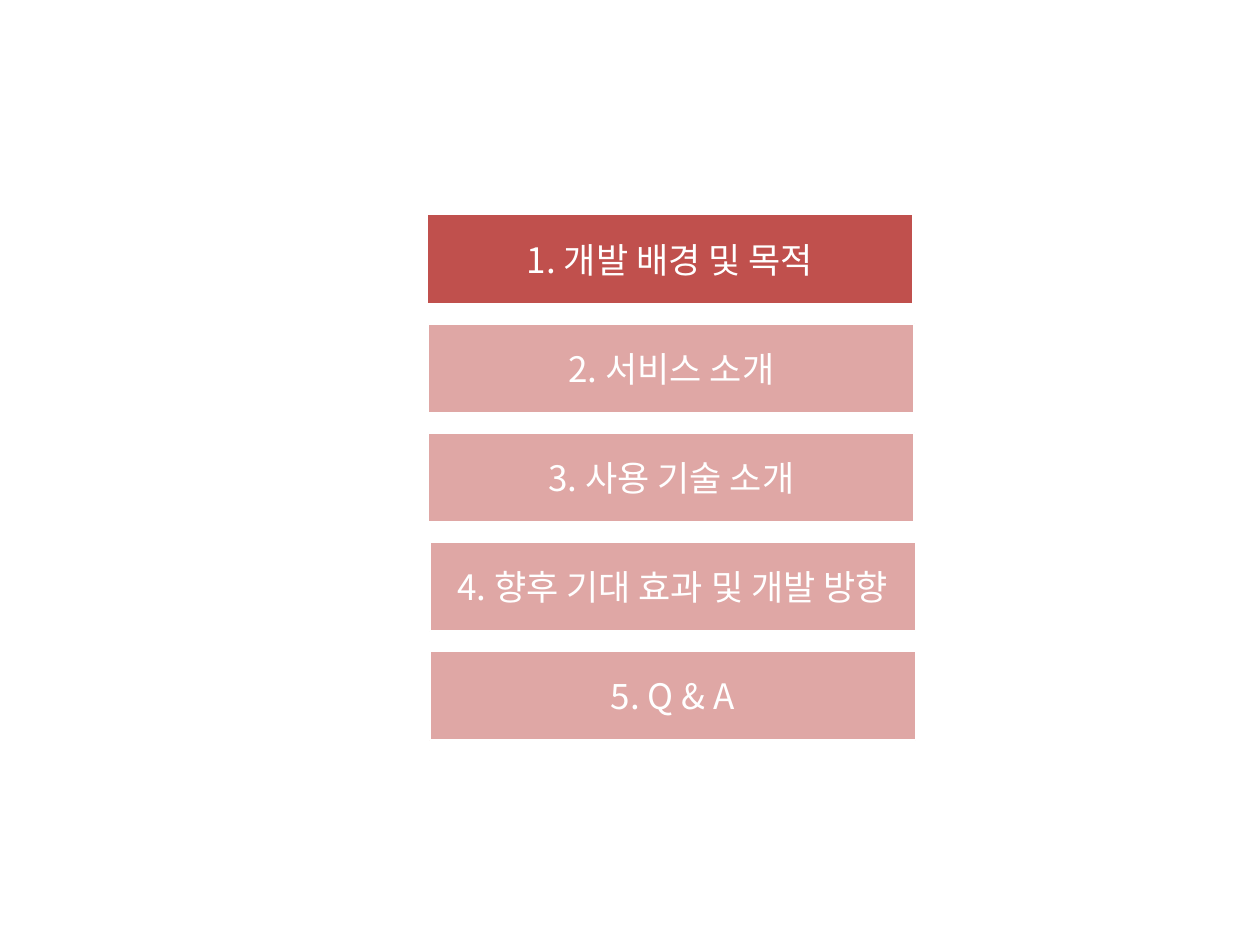
from dataclasses import dataclass

from lxml.etree import SubElement
from pptx import Presentation
from pptx.dml.color import RGBColor
from pptx.enum.shapes import MSO_SHAPE as Preset
from pptx.enum.text import MSO_ANCHOR as Anchor, PP_ALIGN as Align
from pptx.oxml.ns import qn
from pptx.util import Pt


@dataclass(frozen=True)
class Theme:
    font: str = "Noto Sans CJK KR"
    accent: RGBColor = RGBColor(0xC0, 0x50, 0x4D)
    white: RGBColor = RGBColor(0xFF, 0xFF, 0xFF)
    item_size: float = 20
    outline: float = 1
    faded_alpha: int = 50


class AgendaSlide:
    """Holds the theme, the slide and the group of agenda bars."""

    def __init__(self, slide, theme):
        self.slide = slide
        self.theme = theme
        self.group = slide.shapes.add_group_shape()

    def bar(self, text, left, top, width, height, faded):
        theme = self.theme
        shape = self.group.shapes.add_shape(
            Preset.RECTANGLE, Pt(left), Pt(top), Pt(width), Pt(height))
        shape.shadow.inherit = False
        shape.fill.solid()
        shape.fill.fore_color.rgb = theme.accent
        if faded:
            color = shape.fill._xPr.find(qn("a:solidFill"))[0]
            SubElement(color, qn("a:alpha"), val=str(theme.faded_alpha * 1000))
        shape.line.color.rgb = theme.white
        shape.line.width = Pt(theme.outline)
        frame = shape.text_frame
        frame.word_wrap = True
        frame.vertical_anchor = Anchor.MIDDLE
        paragraph = frame.paragraphs[0]
        paragraph.alignment = Align.CENTER
        self.run(paragraph, text)

    def run(self, paragraph, text):
        """Add a run whose Latin and Korean letters share the theme font."""
        run = paragraph.add_run()
        run.text = text
        run.font.size = Pt(self.theme.item_size)
        run.font.color.rgb = self.theme.white
        run.font.name = self.theme.font
        SubElement(run.font._element, qn("a:ea"), typeface=self.theme.font)


AGENDA = [
    "1. 개발 배경 및 목적",
    "2. 서비스 소개",
    "3. 사용 기술 소개",
    "4. 향후 기대 효과 및 개발 방향",
    "5. Q & A",
]
CURRENT = 0
LEFT, TOP = 244.1, 122.6
WIDTH, HEIGHT = 277.7, 50.9
PITCH = 62.4
SHIFT = 0.7  # each second bar starts slightly further right


def main():
    presentation = Presentation()
    presentation.slide_width, presentation.slide_height = Pt(720), Pt(540)
    slide = presentation.slides.add_slide(presentation.slide_layouts[6])
    agenda = AgendaSlide(slide, Theme())
    for index, text in enumerate(AGENDA):
        left = LEFT + SHIFT * ((index + 1) // 2)
        agenda.bar(text, left, TOP + PITCH * index, WIDTH, HEIGHT,
                   faded=index != CURRENT)
    presentation.save("out.pptx")


if __name__ == "__main__":
    main()
